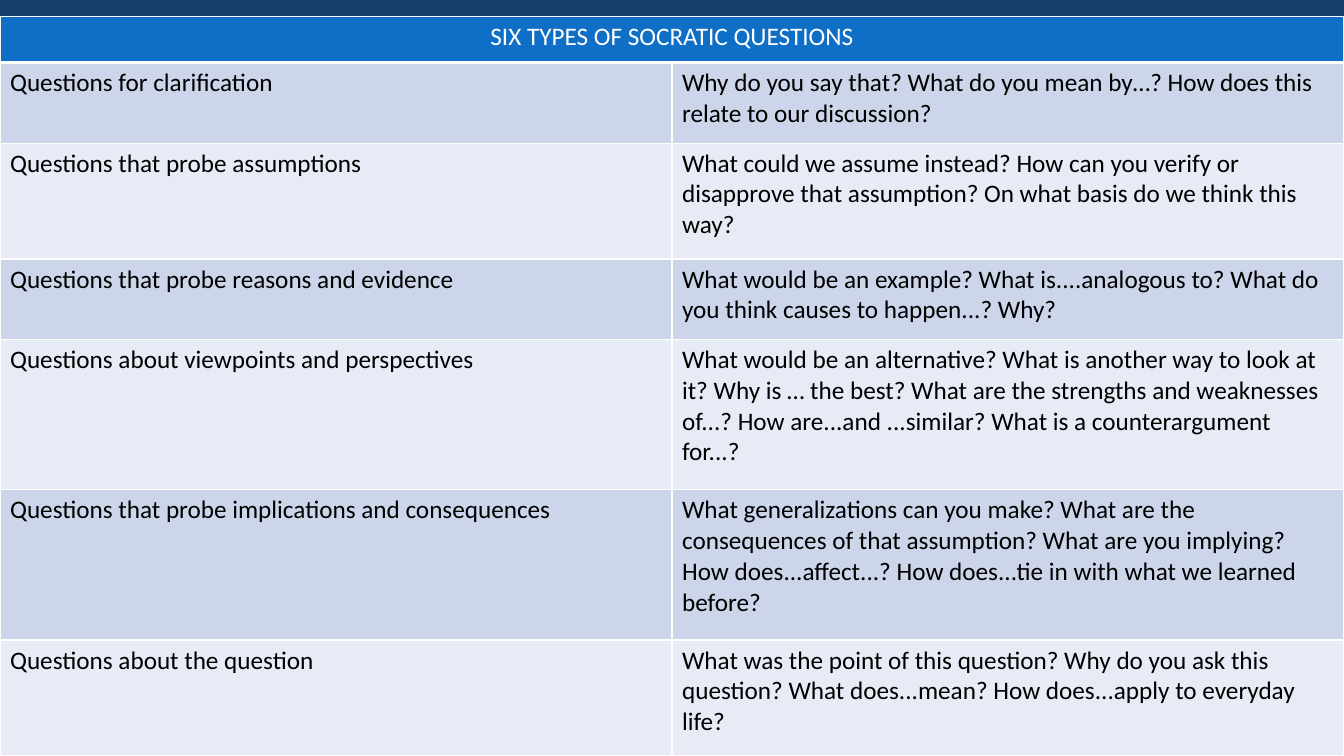
from pptx import Presentation
from pptx.dml.color import RGBColor
from pptx.enum.shapes import MSO_SHAPE
from pptx.enum.text import PP_ALIGN
from pptx.oxml import parse_xml
from pptx.oxml.ns import nsdecls
from pptx.util import Inches, Pt

RECTANGLE = MSO_SHAPE.RECTANGLE
LEFT, CENTER = PP_ALIGN.LEFT, PP_ALIGN.CENTER

NAVY = RGBColor(0x17, 0x40, 0x6D)
BLUE = RGBColor(0x0F, 0x6F, 0xC6)
BAND_DARK = RGBColor(0xCC, 0xD5, 0xEA)
BAND_LIGHT = RGBColor(0xE7, 0xEB, 0xF5)
WHITE = RGBColor(0xFF, 0xFF, 0xFF)
BLACK = RGBColor(0x00, 0x00, 0x00)

WIDTH, HEIGHT = 13.33, 7.5
TITLE = "SIX TYPES OF SOCRATIC QUESTIONS"
TITLE_HEIGHT = 0.46
# Question type, example questions, row height
QUESTIONS = [
    ("Questions for clarification",
     "Why do you say that? What do you mean by…? How does this relate to our "
     "discussion?", 0.8),
    ("Questions that probe assumptions",
     "What could we assume instead? How can you verify or disapprove that "
     "assumption? On what basis do we think this way?", 1.15),
    ("Questions that probe reasons and evidence",
     "What would be an example? What is....analogous to? What do you think "
     "causes to happen...? Why?", 0.8),
    ("Questions about viewpoints and perspectives",
     "What would be an alternative? What is another way to look at it? Why is … "
     "the best? What are the strengths and weaknesses of...? How are...and "
     "...similar? What is a counterargument for...?", 1.49),
    ("Questions that probe implications and consequences",
     "What generalizations can you make? What are the consequences of that "
     "assumption? What are you implying? How does...affect...? How does...tie in "
     "with what we learned before?", 1.49),
    ("Questions about the question",
     "What was the point of this question? Why do you ask this question? What "
     "does...mean? How does...apply to everyday life?", 1.15),
]


def write_text(frame, text, color=BLACK, size=18, font="Calibri", align=LEFT):
    para = frame.paragraphs[0]
    para.alignment = align
    span = para.add_run()
    span.text = text
    span.font.name = font
    span.font.size = Pt(size)
    span.font.color.rgb = color


def set_borders(cell, color, bottom):
    """Draw 1 pt sides and a bottom line of the given points."""
    properties = cell._tc.get_or_add_tcPr()
    for side, points in (("L", 1), ("R", 1), ("T", 1), ("B", bottom)):
        properties.append(parse_xml(
            f'<a:ln{side} {nsdecls("a")} w="{Pt(points)}"><a:solidFill>'
            f'<a:srgbClr val="{color}"/></a:solidFill></a:ln{side}>'))


class SlideBuilder:
    def __init__(self, page, background):
        self.page = page
        page.background.fill.solid()
        page.background.fill.fore_color.rgb = background

    def rectangle(self, left, top, width, height, color):
        box = self.page.shapes.add_shape(
            RECTANGLE, Inches(left), Inches(top), Inches(width), Inches(height))
        box.shadow.inherit = False
        box.fill.solid()
        box.fill.fore_color.rgb = color
        box.line.fill.background()

    def table(self, left, top, width, row_heights, columns):
        table = self.page.shapes.add_table(
            len(row_heights), columns, Inches(left), Inches(top),
            Inches(width), Inches(sum(row_heights))).table
        for row, height in zip(table.rows, row_heights):
            row.height = Inches(height)
        return table

    def cell(self, cell, text, fill, bottom=1, **text_format):
        set_borders(cell, WHITE, bottom)
        cell.fill.solid()
        cell.fill.fore_color.rgb = fill
        if text:
            write_text(cell.text_frame, text, **text_format)


def main():
    deck = Presentation()
    deck.slide_width, deck.slide_height = Inches(WIDTH), Inches(HEIGHT)
    builder = SlideBuilder(deck.slides.add_slide(deck.slide_layouts[6]), NAVY)
    builder.rectangle(0, 0.19, WIDTH, 1.8, WHITE)

    heights = [TITLE_HEIGHT] + [height for _, _, height in QUESTIONS]
    table = builder.table(0, 0.16, WIDTH, heights, 2)
    title_cell, covered_cell = table.cell(0, 0), table.cell(0, 1)
    title_cell.merge(covered_cell)
    builder.cell(title_cell, TITLE, BLUE, bottom=3, color=WHITE, align=CENTER)
    builder.cell(covered_cell, "", BLUE, bottom=3)

    for row, (kind, examples, _) in enumerate(QUESTIONS, start=1):
        band = BAND_DARK if row % 2 else BAND_LIGHT
        for column, text in enumerate((kind, examples)):
            builder.cell(table.cell(row, column), text, band)

    deck.save("out.pptx")


if __name__ == "__main__":
    main()
